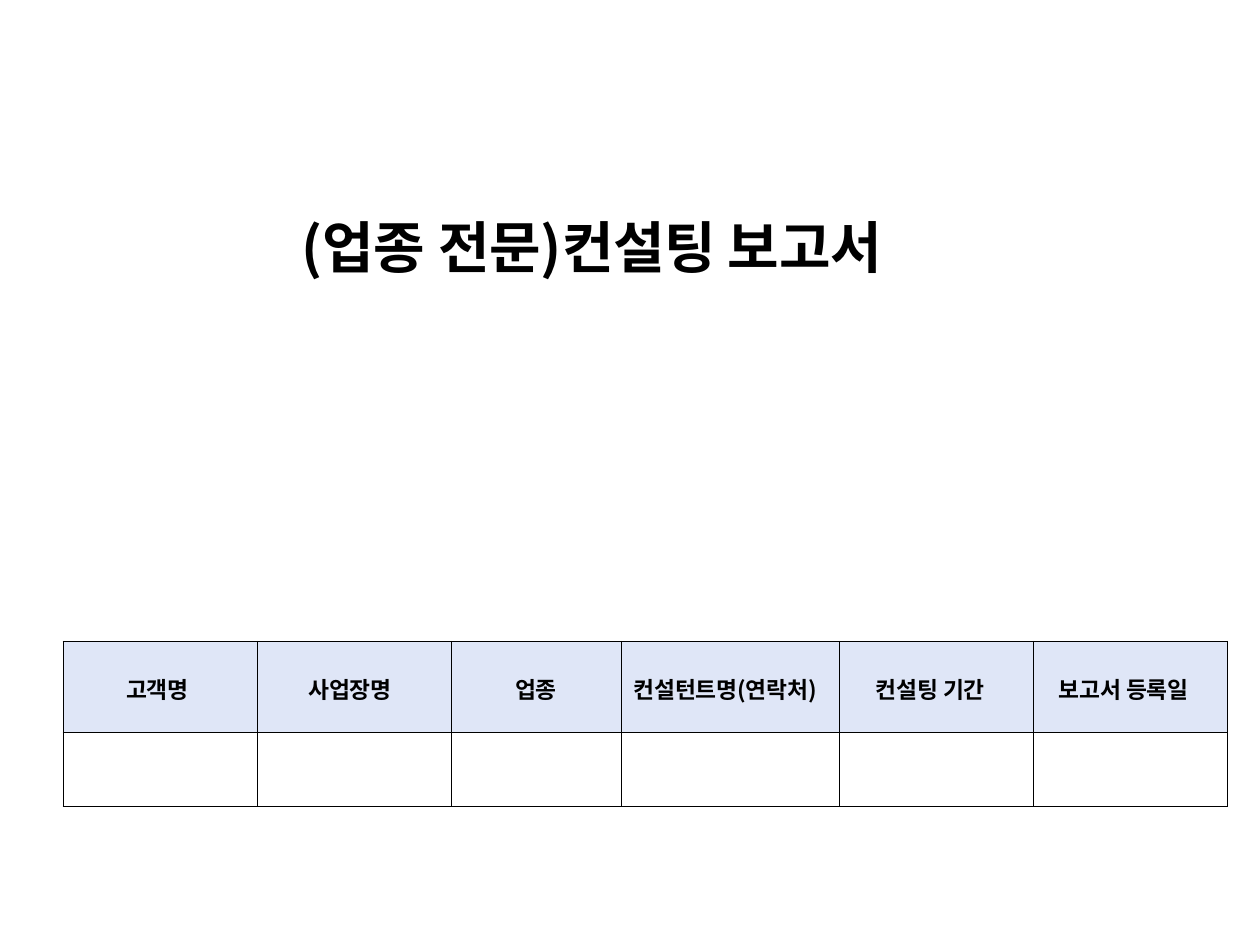
from dataclasses import dataclass

from lxml.etree import SubElement
from pptx import Presentation
from pptx.dml.color import RGBColor
from pptx.enum.text import MSO_ANCHOR, MSO_AUTO_SIZE, PP_ALIGN
from pptx.oxml.ns import qn
from pptx.util import Inches, Pt


@dataclass(frozen=True)
class Theme:
    face: str = "Noto Sans CJK KR"
    ink: str = "000000"
    head: str = "DFE6F7"
    title: float = 32
    label: float = 13
    rule: float = 0.5


# Each text is a list of (words, letter spacing in points).
TITLE = [("(업종 ", 0), ("전문)컨설팅 ", -0.3), ("보고서", -0.2)]
# Column width, left indent (None centres the label), label
COLUMNS = [
    (1.54, 0.5, [("고객명", -0.2)]),
    (1.54, 0.41, [("사업장명", -0.2)]),
    (1.35, None, [("업종", -0.2)]),
    (1.73, 0.1, [("컨설턴트명(연락처)", -0.1)]),
    (1.54, 0.29, [("컨설팅 ", 0), ("기간", -0.2)]),
    (1.54, 0.2, [("보고서 ", 0), ("등록일", -0.2)]),
]
ROWS = [0.72, 0.59]


class Page:
    def __init__(self, deck, theme):
        self.theme = theme
        self.slide = deck.slides.add_slide(deck.slide_layouts[5])

    def words(self, para, parts, size, align=PP_ALIGN.LEFT):
        para.alignment = align
        for text, gap in parts:
            run = para.add_run()
            run.text = text
            style = {"name": self.theme.face, "size": Pt(size), "bold": True}
            for key, value in style.items():
                setattr(run.font, key, value)
            run.font.color.rgb = RGBColor.from_string(self.theme.ink)
            props = run._r.get_or_add_rPr()
            props.set("spc", str(round(gap * 100)))
            SubElement(props, qn("a:ea"), typeface=self.theme.face)

    def title(self, parts, left, top, width, height):
        shape = self.slide.shapes.title
        place = {"left": left, "top": top, "width": width, "height": height}
        for key, value in place.items():
            setattr(shape, key, Inches(value))
        frame = shape.text_frame
        form = {
            "margin_left": 0, "margin_right": 0,
            "margin_top": Inches(0.01), "margin_bottom": 0,
            "word_wrap": True, "auto_size": MSO_AUTO_SIZE.NONE,
            "vertical_anchor": MSO_ANCHOR.MIDDLE,
        }
        for key, value in form.items():
            setattr(frame, key, value)
        self.words(frame.paragraphs[0], parts, self.theme.title)

    def border(self, cell):
        props = cell._tc.get_or_add_tcPr()
        for side in ("lnL", "lnR", "lnT", "lnB"):
            line = SubElement(props, qn(f"a:{side}"), w=str(Pt(self.theme.rule)))
            fill = SubElement(line, qn("a:solidFill"))
            SubElement(fill, qn("a:srgbClr"), val=self.theme.ink)

    def label(self, cell, indent, parts):
        form = {
            "margin_left": Inches(indent or 0), "margin_right": 0,
            "margin_top": Inches(0.03), "margin_bottom": 0,
            "vertical_anchor": MSO_ANCHOR.MIDDLE,
        }
        for key, value in form.items():
            setattr(cell, key, value)
        cell.fill.solid()
        cell.fill.fore_color.rgb = RGBColor.from_string(self.theme.head)
        align = PP_ALIGN.CENTER if indent is None else PP_ALIGN.LEFT
        self.words(cell.text_frame.paragraphs[0], parts, self.theme.label, align)

    def table(self, columns, rows, left, top):
        width = sum(column[0] for column in columns)
        grid = self.slide.shapes.add_table(
            len(rows), len(columns), Inches(left), Inches(top),
            Inches(width), Inches(sum(rows))).table
        grid.first_row = grid.horz_banding = False
        for row, height in zip(grid.rows, rows):
            row.height = Inches(height)
        for cell in grid.iter_cells():
            self.border(cell)
        for col, (width, indent, parts) in enumerate(columns):
            grid.columns[col].width = Inches(width)
            self.label(grid.cell(0, col), indent, parts)
            for row in range(1, len(rows)):
                grid.cell(row, col).fill.background()


def main():
    deck = Presentation()
    deck.slide_width, deck.slide_height = Inches(10), Inches(7.5)
    page = Page(deck, Theme())
    page.title(TITLE, 2.39, 1.67, 5.01, 0.56)
    page.table(COLUMNS, ROWS, 0.5, 5.09)
    deck.save("out.pptx")


if __name__ == "__main__":
    main()
